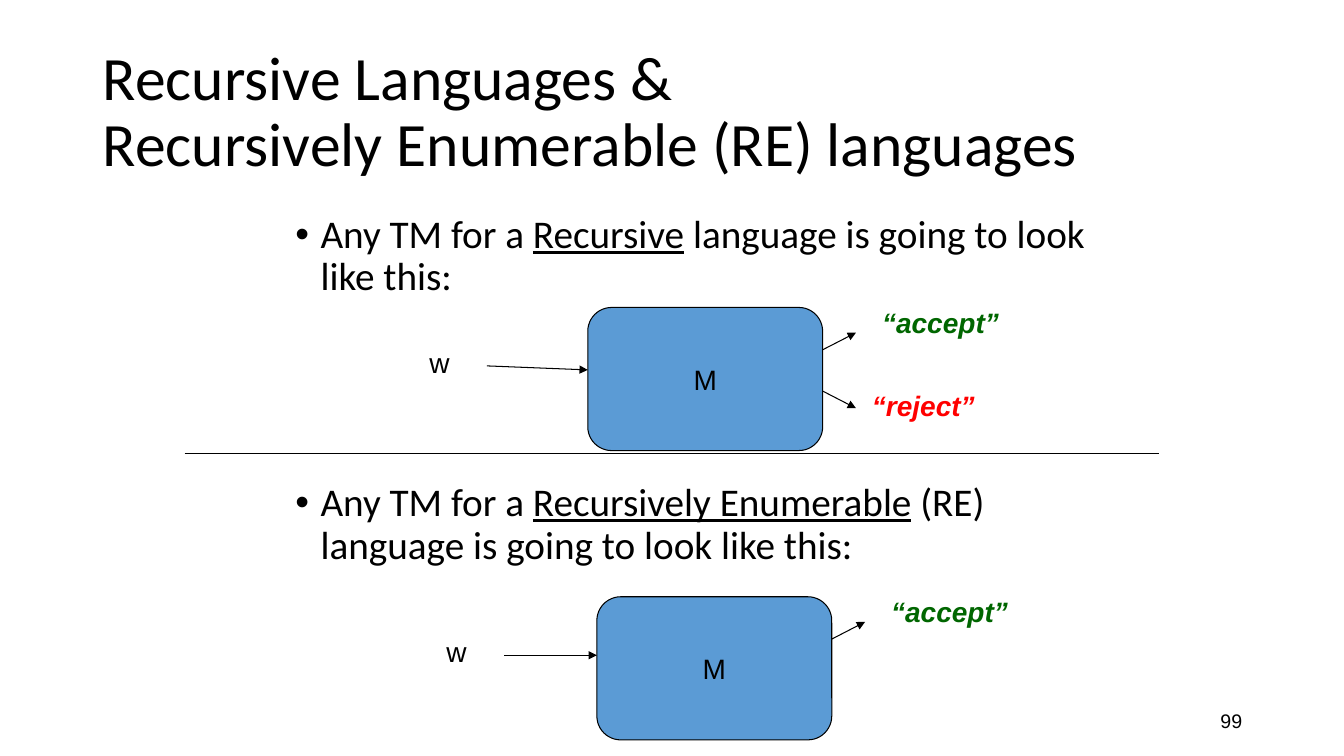
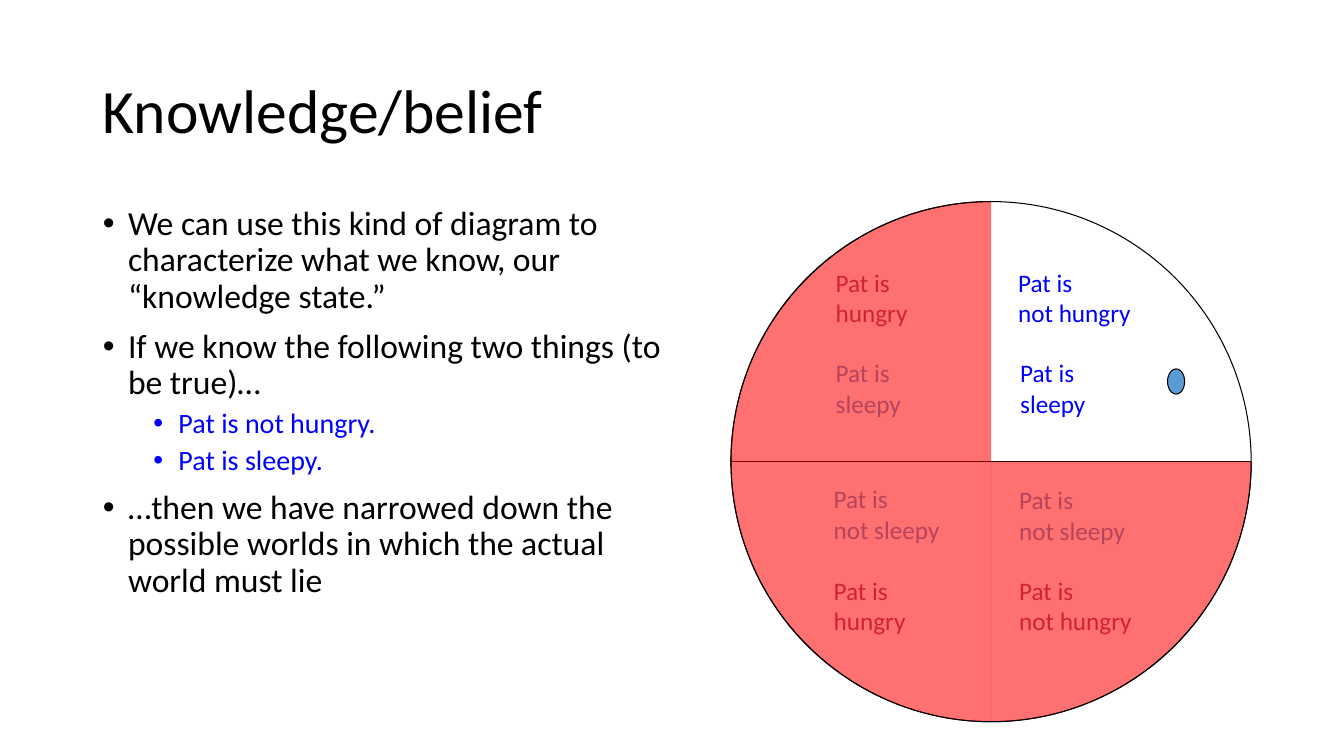
import lxml.etree
import pptx
import pptx.dml.color
import pptx.enum.shapes
import pptx.enum.text
import pptx.oxml.ns
import pptx.util

Inches = pptx.util.Inches
Pt = pptx.util.Pt
RGBColor = pptx.dml.color.RGBColor
MSO_SHAPE = pptx.enum.shapes.MSO_SHAPE
ANCHOR = pptx.enum.text.MSO_ANCHOR
ALIGN = pptx.enum.text.PP_ALIGN
AUTO_SIZE = pptx.enum.text.MSO_AUTO_SIZE
qn = pptx.oxml.ns.qn

BLACK = RGBColor(0x00, 0x00, 0x00)
STEEL = RGBColor(0x5B, 0x9B, 0xD5)
GREEN = RGBColor(0x00, 0x66, 0x00)
RED = RGBColor(0xFF, 0x00, 0x00)
BLUE = RGBColor(0x00, 0x00, 0xFF)
PLUM = RGBColor(0x95, 0x4F, 0x72)

HEADING_FONT = "Calibri"
LABEL_FONT = "Arial"
TITLE_BOX = (0.92, 0.4, 11.5, 1.45)
LINE_SPACING = 0.9
LINE_WIDTH = Pt(0.75)
ARC_HANDLE = 0.55  # Bezier handle of a quarter circle, as a share of the radius

# Verdict: colour, arrow start and end heights, label offset and width
VERDICTS = {
    "“accept”": (GREEN, 0.42, 0.25, 2.82, -0.07, 1.37),
    "“reject”": (RED, 0.83, 1.0, 2.72, 0.76, 1.23),
}


def place(shape, left, top, width, height):
    shape.left, shape.top = Inches(left), Inches(top)
    shape.width, shape.height = Inches(width), Inches(height)


def add_run(paragraph, text, size, font, color=BLACK, emphasis=False, underline=False):
    run = paragraph.add_run()
    run.text = text
    run.font.size = Pt(size)
    run.font.name = font
    run.font.color.rgb = color
    if emphasis:
        run.font.bold = run.font.italic = True
    if underline:
        run.font.underline = True


def add_lines(paragraph, lines, size, font, color=BLACK, emphasis=False):
    for index, line in enumerate(lines):
        if index:
            paragraph.add_line_break()
        add_run(paragraph, line, size, font, color, emphasis)


def add_titled_slide(deck, *title_lines):
    slide = deck.slides.add_slide(deck.slide_layouts[1])
    title = slide.shapes.title
    place(title, *TITLE_BOX)
    title.text_frame.auto_size = AUTO_SIZE.NONE
    title.text_frame.vertical_anchor = ANCHOR.MIDDLE
    heading = title.text_frame.paragraphs[0]
    heading.alignment = ALIGN.LEFT
    heading.line_spacing = LINE_SPACING
    add_lines(heading, title_lines, 44, HEADING_FONT)
    return slide


def fill_bullets(slide, box, items):
    """Each item holds level, space before, size, colour and (text, underlined) pairs."""
    body = slide.placeholders[1]
    place(body, *box)
    frame = body.text_frame
    frame.auto_size = AUTO_SIZE.NONE
    for index, (level, space, size, color, pieces) in enumerate(items):
        point = frame.add_paragraph() if index else frame.paragraphs[0]
        properties = point._p.get_or_add_pPr()
        properties.set("marL", str(Inches(0.25 + 0.5 * level)))
        properties.set("indent", str(Inches(-0.25)))
        lxml.etree.SubElement(properties, qn("a:buFont"), typeface="Arial")
        lxml.etree.SubElement(properties, qn("a:buChar"), char="•")
        point.level = level
        point.line_spacing = LINE_SPACING
        point.space_before = Pt(space)
        for text, underlined in pieces:
            add_run(point, text, size, HEADING_FONT, color, underline=underlined)


def add_label(slide, box, lines, size, font, color=BLACK, emphasis=False):
    label = slide.shapes.add_textbox(*map(Inches, box))
    label.text_frame.word_wrap = False
    label.text_frame.auto_size = AUTO_SIZE.SHAPE_TO_FIT_TEXT
    add_lines(label.text_frame.paragraphs[0], lines, size, font, color, emphasis)


def add_line(slide, start, end, arrow=False):
    line = slide.shapes.add_connector(
        pptx.enum.shapes.MSO_CONNECTOR.STRAIGHT, *map(Inches, (*start, *end)))
    line.line.color.rgb = BLACK
    line.line.width = LINE_WIDTH
    if arrow:
        lxml.etree.SubElement(line.line._get_or_add_ln(), qn("a:tailEnd"), type="triangle")
    lxml.etree.SubElement(line._element.spPr, qn("a:effectLst"))


def add_outlined(slide, preset, box, fill=None):
    shape = slide.shapes.add_shape(preset, *map(Inches, box))
    shape.shadow.inherit = False
    if fill is None:
        shape.fill.background()
    else:
        shape.fill.solid()
        shape.fill.fore_color.rgb = fill
    shape.line.color.rgb = BLACK
    shape.line.width = LINE_WIDTH
    return shape


def add_page_number(slide, number):
    page = slide.shapes.add_textbox(*map(Inches, (9.42, 6.95, 3, 0.4)))
    page.text_frame.word_wrap = True
    page.text_frame.vertical_anchor = ANCHOR.MIDDLE
    paragraph = page.text_frame.paragraphs[0]
    paragraph.alignment = ALIGN.RIGHT
    add_run(paragraph, number, 14, LABEL_FONT)


def draw_machine(slide, left, top, input_length, input_end, verdicts):
    """Turing machine box with its input arrow and one arrow for each verdict."""
    width, height, input_start = 2.33, 1.42, 0.58
    machine = add_outlined(slide, MSO_SHAPE.ROUNDED_RECTANGLE, (left, top, width, height), STEEL)
    machine.text_frame.word_wrap = False
    machine.text_frame.vertical_anchor = ANCHOR.MIDDLE
    name = machine.text_frame.paragraphs[0]
    name.alignment = ALIGN.CENTER
    add_run(name, "M", 20, LABEL_FONT)

    add_label(slide, (left - input_length - 0.67, top + 0.33, 0.4, 0.43), ["w"], 20, LABEL_FONT)
    add_line(slide, (left - input_length, top + input_start), (left, top + input_end), arrow=True)
    right = left + width
    for verdict in verdicts:
        color, start, end, label_x, label_y, label_width = VERDICTS[verdict]
        add_line(slide, (right, top + start), (right + 0.33, top + end), arrow=True)
        add_label(slide, (left + label_x, top + label_y, label_width, 0.44), [verdict],
                  20, LABEL_FONT, color, emphasis=True)


def add_path_step(path, tag, *points):
    step = lxml.etree.SubElement(path, qn(tag))
    for x, y in points:
        lxml.etree.SubElement(step, qn("a:pt"), x=str(int(x)), y=str(int(y)))


def shade_quarter(slide, center_x, center_y, radius, side_x, side_y):
    """Translucent red quarter of a disc, outlined along its arc only."""
    side = Inches(radius)
    center = (Inches(center_x), Inches(center_y))
    pole = (center[0], center[1] + side_y * side)
    flank = (center[0] + side_x * side, center[1])
    builder = slide.shapes.build_freeform(*center)
    builder.add_line_segments([pole, flank], close=True)
    quarter = builder.convert_to_shape()
    quarter.shadow.inherit = False
    quarter.fill.solid()
    quarter.fill.fore_color.rgb = RED
    red = quarter._element.spPr.find(".//" + qn("a:srgbClr"))
    lxml.etree.SubElement(red, qn("a:alpha"), val="56000")
    quarter.line.color.rgb = BLACK
    quarter.line.width = LINE_WIDTH

    # Round the slanted edge, one path for the stroke and one for the fill
    corner = (min(center[0], flank[0]), min(center[1], pole[1]))
    handle = ARC_HANDLE * side

    def local(x, y):
        return x - corner[0], y - corner[1]

    arc = [local(pole[0] + side_x * handle, pole[1]),
           local(flank[0], flank[1] + side_y * handle),
           local(*flank)]
    paths = quarter._element.spPr.find(".//" + qn("a:pathLst"))
    paths.remove(paths[0])
    for option in ({"fill": "none"}, {"stroke": "0"}):
        path = lxml.etree.SubElement(paths, qn("a:path"), w=str(side), h=str(side), **option)
        add_path_step(path, "a:moveTo", local(*pole))
        add_path_step(path, "a:cubicBezTo", *arc)
    add_path_step(path, "a:lnTo", local(*center))
    add_path_step(path, "a:close")


def draw_worlds(slide, left, top, size):
    """Circle of possible worlds with three quarters ruled out."""
    radius = size / 2
    center_x, center_y = left + radius, top + radius
    worlds = [
        (0.94, 0.6, "hungry", PLUM), (2.75, 0.6, "not hungry", BLUE),
        (2.76, 3.66, "not hungry", PLUM), (2.76, 2.76, "not sleepy", STEEL),
        (0.92, 3.66, "hungry", PLUM), (0.94, 1.5, "sleepy", STEEL),
        (2.77, 1.5, "sleepy", BLUE), (0.92, 2.75, "not sleepy", STEEL),
    ]
    widths = {"hungry": 1.15, "sleepy": 1.05, "not hungry": 1.65, "not sleepy": 1.56}
    add_outlined(slide, MSO_SHAPE.OVAL, (left, top, size, size))
    add_line(slide, (left + size, center_y), (left, center_y))
    for x, y, state, color in worlds:
        add_label(slide, (left + x, top + y, widths[state], 0.9), ["Pat is", state],
                  18, HEADING_FONT, color)
    add_outlined(slide, MSO_SHAPE.OVAL, (left + 4.33, top + 1.66, 0.17, 0.25), STEEL)
    for side_x, side_y in ((-1, -1), (-1, 1), (1, 1)):
        shade_quarter(slide, center_x, center_y, radius, side_x, side_y)


def build_languages_slide(deck):
    slide = add_titled_slide(deck, "Recursive Languages &", "Recursively Enumerable (RE) languages")
    fill_bullets(slide, (2.83, 2.08, 8.5, 4.5), [
        (0, 0, 28, BLACK, [("Any TM for a ", False), ("Recursive", True),
                           (" language is going to look like this:", False)]),
        (0, 131, 28, BLACK, [("Any TM for a ", False), ("Recursively Enumerable", True),
                             (" (RE) language is going to look like this:", False)]),
    ])
    draw_machine(slide, 5.83, 3.05, 1, 0.62, ["“accept”", "“reject”"])
    draw_machine(slide, 5.92, 5.92, 0.92, 0.58, ["“accept”"])
    add_line(slide, (1.83, 4.5), (11.5, 4.5))
    add_page_number(slide, "99")


def build_knowledge_slide(deck):
    slide = add_titled_slide(deck, "Knowledge/belief")
    fill_bullets(slide, (0.92, 2, 5.93, 4.76), [
        (0, 0, 24, BLACK, [("We can use this kind of diagram to characterize what we know, "
                            "our “knowledge state.”", False)]),
        (0, 10, 24, BLACK, [("If we know the following two things (to be true)…", False)]),
        (1, 5, 20, BLUE, [("Pat is not hungry.", False)]),
        (1, 5, 20, BLUE, [("Pat is sleepy.", False)]),
        (0, 10, 24, BLACK, [("…then we have narrowed down the possible worlds in which "
                             "the actual world must lie", False)]),
    ])
    draw_worlds(slide, 7.25, 2, 5.16)


def main():
    deck = pptx.Presentation()
    deck.slide_width, deck.slide_height = Inches(13.33), Inches(7.5)
    build_languages_slide(deck)
    build_knowledge_slide(deck)
    deck.save("out.pptx")


if __name__ == "__main__":
    main()
